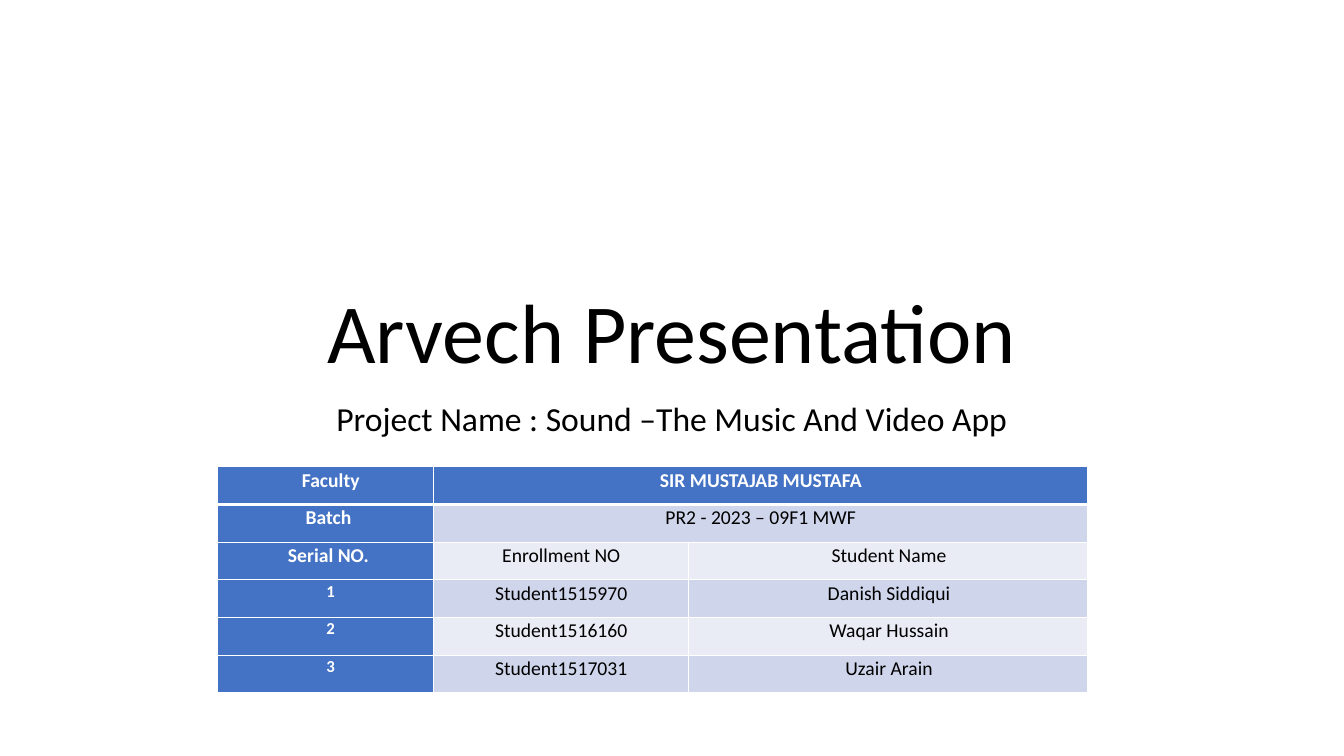
from dataclasses import dataclass

import pptx
import pptx.dml.color
import pptx.enum.text
import pptx.oxml
import pptx.oxml.ns
import pptx.util
from pptx.util import Cm


@dataclass(frozen=True)
class Theme:
    font: str = "Calibri"
    ink: str = "000000"
    white: str = "FFFFFF"
    blue: str = "4472C4"
    bands: tuple[str, str] = ("E9EBF5", "CFD5EA")
    title_size: int = 60
    subtitle_size: int = 24
    cell_size: int = 14
    serial_size: int = 12
    thin_line: int = 1
    header_line: int = 3


@dataclass(frozen=True)
class Box:
    left: float
    top: float
    width: float
    height: float


@dataclass(frozen=True)
class Heading:
    text: str
    box: Box
    size: int
    anchor: pptx.enum.text.MSO_ANCHOR
    space_before: int


@dataclass(frozen=True)
class Column:
    width: float
    indent: float
    space_after: int


THEME = Theme()

HEADINGS = (
    Heading("Arvech Presentation", Box(4.23, 3.12, 25.4, 6.63),
            THEME.title_size, pptx.enum.text.MSO_ANCHOR.BOTTOM, 0),
    Heading("Project Name : Sound –The Music And Video App", Box(4.23, 10.01, 25.4, 4.6),
            THEME.subtitle_size, pptx.enum.text.MSO_ANCHOR.TOP, 10),
)

TABLE_BOX = Box(5.49, 11.76, 21.93, 5.7)
COLUMNS = (Column(5.44, 0.25, 0), Column(6.43, 0, 8), Column(10.06, 0.03, 0))
# A row of two texts spans its second cell over the last two columns
ROWS = (
    ("Faculty", "SIR MUSTAJAB MUSTAFA"),
    ("Batch ", "PR2 - 2023 – 09F1 MWF"),
    ("Serial NO. ", "Enrollment NO", "Student Name"),
    ("1", "Student1515970", "Danish Siddiqui"),
    ("2", "Student1516160", "Waqar Hussain"),
    ("3", "Student1517031", "Uzair Arain"),
)


def write_text(frame, text: str, *, size: int, color: str = THEME.ink, bold: bool = False,
               line_spacing: float = 0.9, before: int = 0, after: int = 0,
               indent: float = 0) -> None:
    """Fill a text frame with one centred, formatted paragraph."""
    para = frame.paragraphs[0]
    para.alignment = pptx.enum.text.PP_ALIGN.CENTER
    para.line_spacing = line_spacing
    para.space_before = pptx.util.Pt(before)
    para.space_after = pptx.util.Pt(after)
    if indent:
        properties = para._p.get_or_add_pPr()
        properties.set("marL", str(Cm(indent)))
        properties.set("indent", "0")
    span = para.add_run()
    span.text = text
    span.font.name = THEME.font
    span.font.size = pptx.util.Pt(size)
    span.font.bold = bold
    span.font.color.rgb = pptx.dml.color.RGBColor.from_string(color)


def add_heading(placeholder, heading: Heading) -> None:
    box = heading.box
    placeholder.left, placeholder.top = Cm(box.left), Cm(box.top)
    placeholder.width, placeholder.height = Cm(box.width), Cm(box.height)
    frame = placeholder.text_frame
    frame.word_wrap = True
    frame.auto_size = pptx.enum.text.MSO_AUTO_SIZE.NONE
    frame.vertical_anchor = heading.anchor
    write_text(frame, heading.text, size=heading.size, before=heading.space_before)


def set_borders(cell, row: int) -> None:
    """Draw white cell borders, heavier under the header row."""
    widths = {"L": THEME.thin_line, "R": THEME.thin_line,
              "T": THEME.header_line if row == 1 else THEME.thin_line,
              "B": THEME.header_line if row == 0 else THEME.thin_line}
    properties = cell._tc.get_or_add_tcPr()
    for position, (side, width) in enumerate(widths.items()):
        line = pptx.oxml.parse_xml(
            f'<a:ln{side} {pptx.oxml.ns.nsdecls("a")} w="{pptx.util.Pt(width)}">'
            f'<a:solidFill><a:srgbClr val="{THEME.white}"/></a:solidFill></a:ln{side}>')
        properties.insert(position, line)


def style_cell(cell, row: int, is_heading: bool) -> None:
    cell.margin_left = cell.margin_right = Cm(0.19)
    cell.margin_top = cell.margin_bottom = 0
    color = THEME.blue if is_heading else THEME.bands[row % 2]
    cell.fill.solid()
    cell.fill.fore_color.rgb = pptx.dml.color.RGBColor.from_string(color)
    set_borders(cell, row)


def add_student_table(page) -> None:
    box = TABLE_BOX
    table = page.shapes.add_table(len(ROWS), len(COLUMNS), Cm(box.left), Cm(box.top),
                                  Cm(box.width), Cm(box.height)).table
    table.first_col = True
    for index, column in enumerate(COLUMNS):
        table.columns[index].width = Cm(column.width)
    for row, texts in enumerate(ROWS):
        table.rows[row].height = Cm(box.height / len(ROWS))
        if len(texts) < len(COLUMNS):
            table.cell(row, 1).merge(table.cell(row, 2))
        for index, column in enumerate(COLUMNS):
            cell = table.cell(row, index)
            is_heading = row == 0 or index == 0
            style_cell(cell, row, is_heading)
            if index < len(texts):
                is_serial = texts[index].isdigit()
                write_text(cell.text_frame, texts[index],
                           size=THEME.serial_size if is_serial else THEME.cell_size,
                           color=THEME.white if is_heading else THEME.ink,
                           bold=is_heading, line_spacing=1.07,
                           after=column.space_after, indent=column.indent)


def main() -> None:
    deck = pptx.Presentation()
    deck.slide_width, deck.slide_height = Cm(33.87), Cm(19.05)
    page = deck.slides.add_slide(deck.slide_layouts[0])

    # Title and subtitle
    for placeholder, heading in zip(page.placeholders, HEADINGS):
        add_heading(placeholder, heading)

    # Faculty, batch and students
    add_student_table(page)
    deck.save("out.pptx")


if __name__ == "__main__":
    main()
